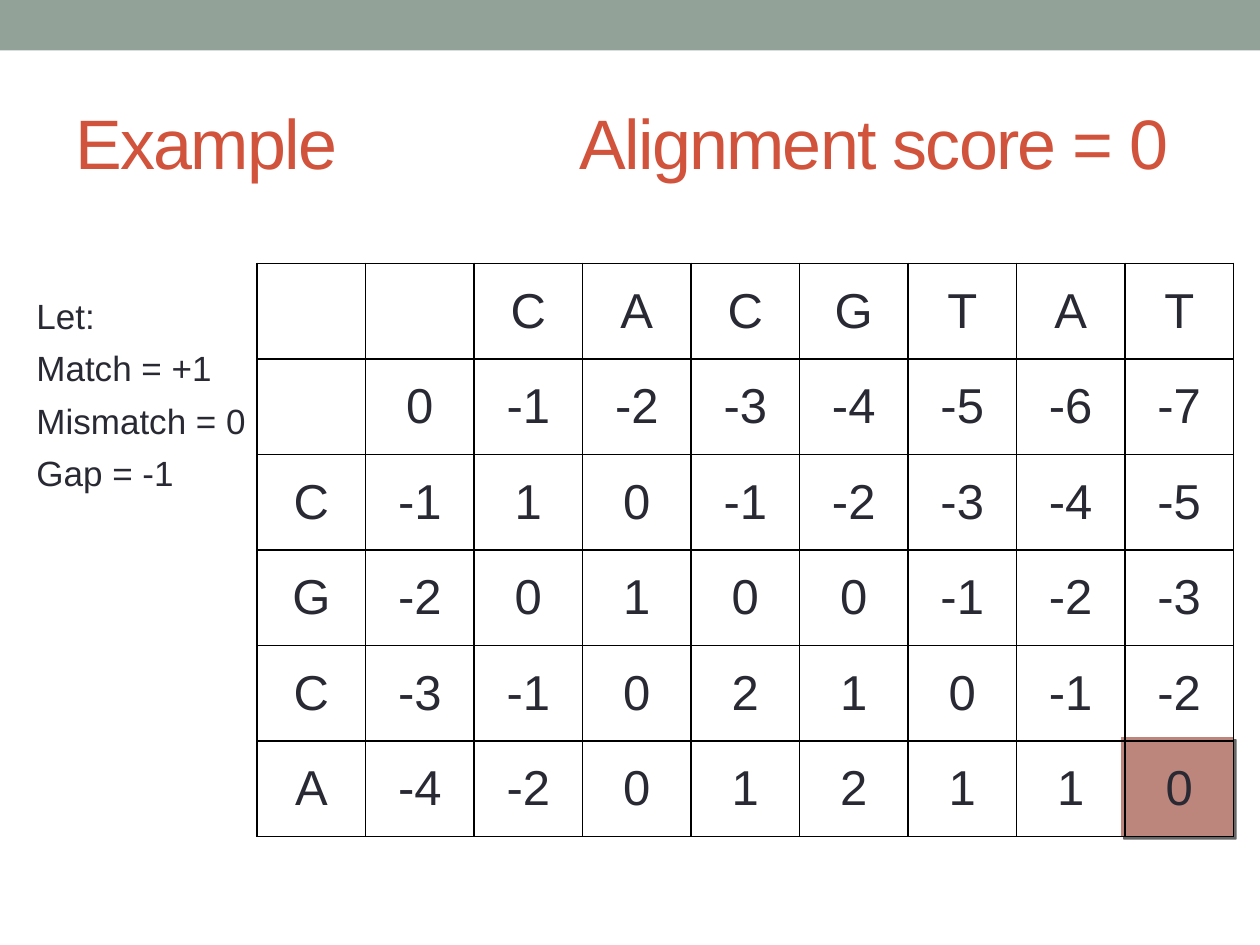
from dataclasses import dataclass

from lxml.etree import SubElement
from pptx import Presentation
from pptx.dml.color import RGBColor as Rgb
from pptx.enum.shapes import MSO_SHAPE as Preset
from pptx.enum.text import MSO_ANCHOR as Anchor, MSO_AUTO_SIZE as AutoSize, PP_ALIGN as Align
from pptx.oxml import parse_xml
from pptx.oxml.ns import nsdecls, qn
from pptx.util import Inches, Pt


@dataclass(frozen=True)
class Theme:
    """Colours, font and type sizes of the slide."""

    font: str = "Arial"
    bar: str = "93A299"
    accent: str = "D2533C"
    ink: str = "292934"
    highlight: str = "BD867C"
    rule: str = "000000"
    title_size: int = 40
    rules_size: int = 20
    cell_size: int = 28


THEME = Theme()
SLIDE_W, SLIDE_H = 10, 7.5
GRID_X, GRID_Y, GRID_W, GRID_H = 2.04, 2.09, 7.75, 4.55
SCORING = ["Let:", "Match = +1", "Mismatch = 0", "Gap = -1"]
SEQUENCE = "CACGTAT"
SCORES = [
    ("", [0, -1, -2, -3, -4, -5, -6, -7]),
    ("C", [-1, 1, 0, -1, -2, -3, -4, -5]),
    ("G", [-2, 0, 1, 0, 0, -1, -2, -3]),
    ("C", [-3, -1, 0, 2, 1, 0, -1, -2]),
    ("A", [-4, -2, 0, 1, 2, 1, 1, 0]),
]


def write(frame, lines, size, color=THEME.ink, align=Align.LEFT, gap=0, tab=None, tracking=0):
    """Fill a text frame with one formatted paragraph per line."""
    for index, line in enumerate(lines):
        paragraph = frame.paragraphs[0] if index == 0 else frame.add_paragraph()
        if tab:
            stops = SubElement(paragraph._p.get_or_add_pPr(), qn("a:tabLst"))
            SubElement(stops, qn("a:tab"), pos=str(Inches(tab)), algn="l")
        paragraph.alignment = align
        if index:
            paragraph.space_before = Pt(gap)
        run = paragraph.add_run()
        run.text = line
        run.font.name, run.font.size = THEME.font, Pt(size)
        run.font.color.rgb = Rgb.from_string(color)
        if tracking:
            run.font._element.set("spc", str(tracking * 100))


def add_block(slide, left, top, width, height, color):
    """Add a plain filled rectangle."""
    block = slide.shapes.add_shape(Preset.RECTANGLE, *map(Inches, (left, top, width, height)))
    block.shadow.inherit = False
    block.fill.solid()
    block.fill.fore_color.rgb = Rgb.from_string(color)
    block.line.fill.background()
    return block


def add_highlight(slide, column, row, columns, rows):
    """Mark one grid cell with a shadowed block, slightly larger than the cell."""
    width, height = GRID_W / columns, GRID_H / rows
    spill = 0.03
    block = add_block(slide, GRID_X + column * width - spill, GRID_Y + row * height - spill,
                      width + spill, height + spill, THEME.highlight)
    block.line.color.rgb = Rgb.from_string(THEME.highlight)
    block.line.width = Pt(0.75)
    effects = block._element.spPr.find(qn("a:effectLst"))
    effects.append(parse_xml(
        f'<a:outerShdw {nsdecls("a")} blurRad="0" dist="{Pt(2)}" dir="2700000" algn="tl" rotWithShape="0">'
        f'<a:srgbClr val="{THEME.rule}"><a:alpha val="60000"/></a:srgbClr></a:outerShdw>'))


def add_title(slide, label, result):
    """Place the title with its result at a tab stop."""
    title = slide.shapes.title
    title.left, title.top, title.width, title.height = map(Inches, (0.5, 0.58, 0.9 * SLIDE_W, 1.08))
    title.text_frame.auto_size = AutoSize.NONE
    title.text_frame.vertical_anchor = Anchor.MIDDLE
    write(title.text_frame, [f"{label}\t{result}"], THEME.title_size, THEME.accent, tab=4, tracking=-1)


def add_scoring(slide):
    """List the scoring rules beside the grid."""
    scoring = slide.shapes.add_textbox(*map(Inches, (0.19, 2.26, 2.18, 2.14))).text_frame
    scoring.word_wrap = True
    scoring.margin_top = Inches(0.08)
    write(scoring, SCORING, THEME.rules_size, gap=5.8)


def rule_cell(cell):
    """Draw a thin rule on all four sides of a cell."""
    properties = cell._tc.get_or_add_tcPr()
    for index, side in enumerate("LRTB"):
        properties.insert(index, parse_xml(
            f'<a:ln{side} {nsdecls("a")} w="{Pt(0.96)}"><a:solidFill>'
            f'<a:srgbClr val="{THEME.rule}"/></a:solidFill></a:ln{side}>'))


def add_grid(slide, entries):
    """Add the alignment matrix as an evenly divided table."""
    rows, columns = len(entries), len(entries[0])
    grid = slide.shapes.add_table(rows, columns, *map(Inches, (GRID_X, GRID_Y, GRID_W, GRID_H))).table
    grid.first_row = grid.horz_banding = False
    for column in grid.columns:
        column.width = Inches(GRID_W / columns)
    for row, values in enumerate(entries):
        grid.rows[row].height = Inches(GRID_H / rows)
        for column, value in enumerate(values):
            cell = grid.cell(row, column)
            cell.fill.background()
            cell.vertical_anchor = Anchor.MIDDLE
            rule_cell(cell)
            if value != "":
                write(cell.text_frame, [str(value)], THEME.cell_size, align=Align.CENTER)


def main():
    """Build the alignment example slide."""
    deck = Presentation()
    deck.slide_width, deck.slide_height = Inches(SLIDE_W), Inches(SLIDE_H)
    slide = deck.slides.add_slide(deck.slide_layouts[5])
    entries = [["", "", *SEQUENCE]] + [[base, *scores] for base, scores in SCORES]
    rows, columns = len(entries), len(entries[0])
    add_block(slide, 0, 0, SLIDE_W, 0.4, THEME.bar)
    add_highlight(slide, columns - 1, rows - 1, columns, rows)
    add_title(slide, "Example", "Alignment score = 0")
    add_scoring(slide)
    add_grid(slide, entries)
    deck.save("out.pptx")


if __name__ == "__main__":
    main()
